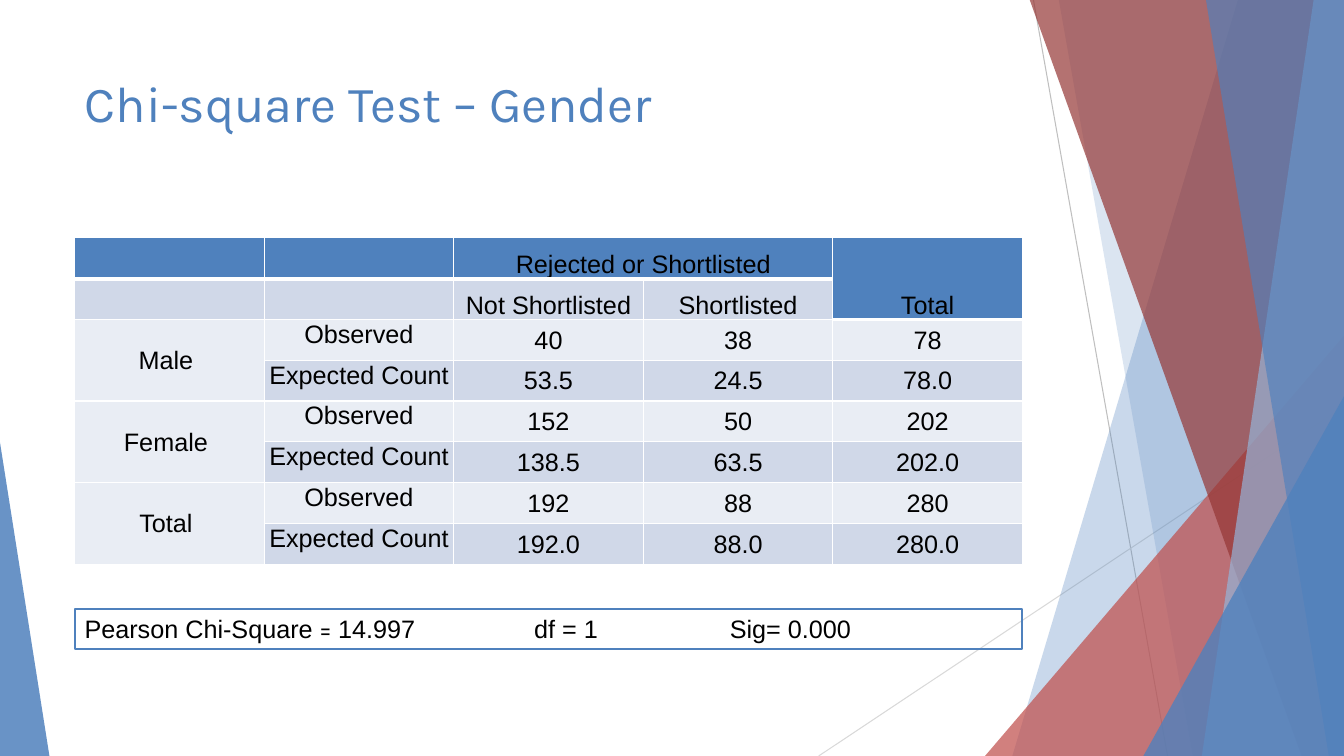
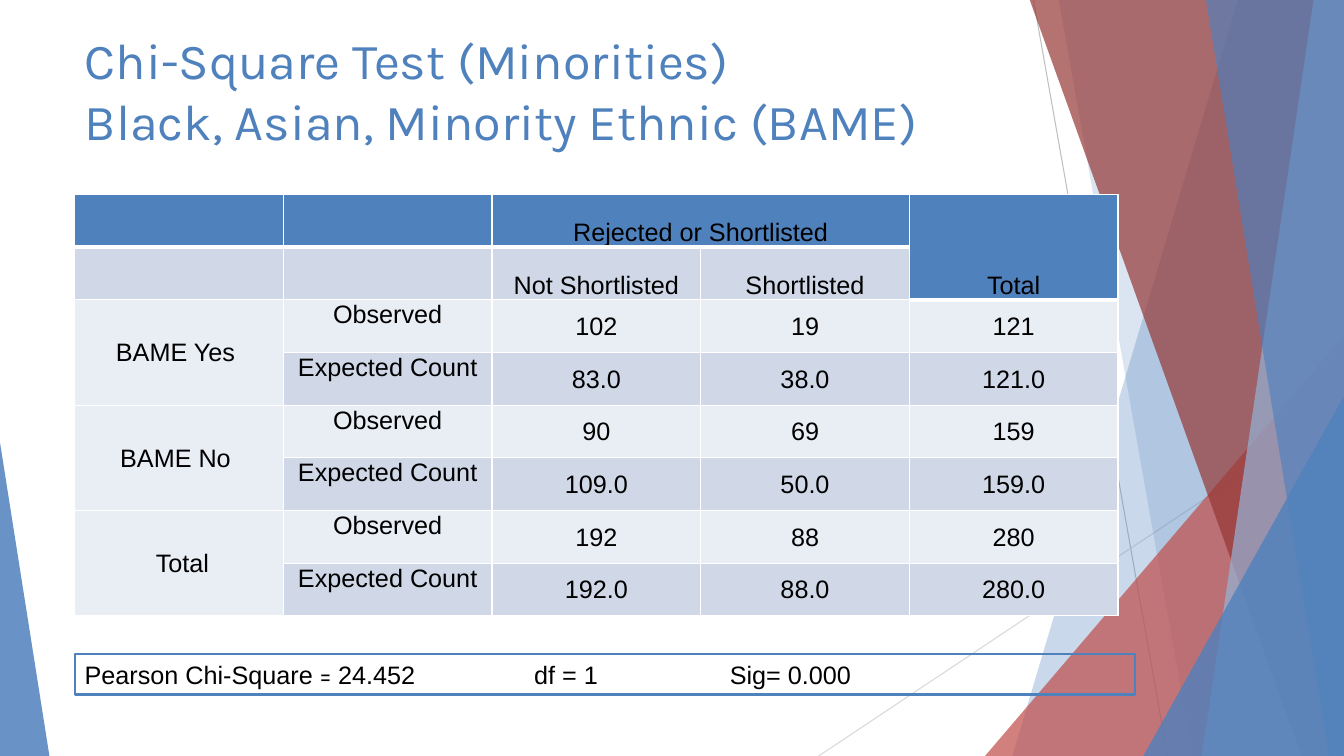
from dataclasses import dataclass

from lxml import etree
from pptx import Presentation
from pptx.dml.color import RGBColor
from pptx.enum.shapes import MSO_CONNECTOR, MSO_SHAPE
from pptx.enum.text import MSO_ANCHOR as ANCHOR, MSO_AUTO_SIZE as AUTOSIZE, PP_ALIGN as ALIGN
from pptx.oxml.ns import qn
from pptx.util import Inches, Pt

# Shared look
BLUE, PALE_BLUE, RED, DARK_RED = "4F81BD", "95B3D7", "C0504D", "953735"
BAND_DARK, BAND_LIGHT = "D0D8E8", "E9EDF4"
WHITE, BLACK = "FFFFFF", "000000"
HEAD_FONT, BODY_FONT = "Karla", "Arial"
SLIDE_W, SLIDE_H = 13.33, 7.5
LEFT, CONTENT_W = 0.74, 9.4


@dataclass
class Ray:
    start: tuple[float, float]
    end: tuple[float, float]
    color: str


@dataclass
class Facet:
    """Panel at the right edge with a slanted left side."""
    top_x: float
    bottom_x: float
    color: str
    alpha: int


@dataclass
class Corner:
    """Right triangle standing on the bottom edge."""
    left: float
    top: float
    width: float
    apex: float
    color: str
    alpha: int


@dataclass
class Group:
    label: str
    observed: list[int]
    expected: list[float]


@dataclass
class ChiTest:
    title: str
    title_top: float
    table_top: float
    table_w: float
    table_h: float
    groups: list[Group]
    total_label: str
    statistic: str
    result_top: float
    result_w: float


RAYS = [
    Ray((10.25, 0), (11.58, SLIDE_H), "BFBFBF"),
    Ray((SLIDE_W, 4.03), (8.12, SLIDE_H), "D9D9D9"),
]
PANELS = [
    Facet(12.28, 10.04, BLUE, 30),
    Facet(10.5, 11.83, BLUE, 20),
    Corner(9.77, 3.33, 3.56, 1, RED, 72),
    Facet(10.21, 12.91, DARK_RED, 70),
    Facet(13.03, 11.92, PALE_BLUE, 70),
    Facet(11.96, 13.18, BLUE, 65),
    Corner(11.34, 3.93, 1.99, 1, BLUE, 80),
    Corner(0, 4.39, 0.49, 0, BLUE, 85),
]
TESTS = [
    ChiTest("Chi-square Test – Gender", 0.67, 2.36, CONTENT_W, 3.24,
            [Group("Male\u00a0", [40, 38], [53.5, 24.5]),
             Group("Female\u00a0", [152, 50], [138.5, 63.5])],
            "Total\u00a0", "14.997", 6.04, CONTENT_W),
    ChiTest("Chi-Square Test (Minorities)\vBlack, Asian, Minority Ethnic (BAME)",
            0.24, 1.93, 10.35, 4.18,
            [Group("BAME Yes\u00a0", [102, 19], [83.0, 38.0]),
             Group("BAME No\u00a0", [90, 69], [109.0, 50.0])],
            "\u00a0Total", "24.452", 6.49, 10.52),
]


# Helpers
def rgb(color: str) -> RGBColor:
    return RGBColor.from_string(color)


def format_run(r, font: str = BODY_FONT, size: float = 18, color: str = BLACK) -> None:
    r.font.name, r.font.size, r.font.color.rgb = font, Pt(size), rgb(color)


def add_text(p, text: str, **fmt) -> None:
    r = p.add_run()
    r.text = text
    format_run(r, **fmt)


def fill_panel(shape, color: str, alpha: int) -> None:
    shape.shadow.inherit = False
    shape.fill.solid()
    shape.fill.fore_color.rgb = rgb(color)
    for clr in shape.element.spPr.iter(qn("a:srgbClr")):
        etree.SubElement(clr, qn("a:alpha"), val=str(alpha * 1000))
    shape.line.fill.background()


# Backdrop
def add_ray(s, ray: Ray) -> None:
    ends = [Inches(v) for v in (*ray.start, *ray.end)]
    line = s.shapes.add_connector(MSO_CONNECTOR.STRAIGHT, *ends)
    line.line.color.rgb, line.line.width = rgb(ray.color), Pt(0.75)
    etree.SubElement(line.element.spPr, qn("a:effectLst"))


def add_facet(s, f: Facet) -> None:
    top = -0.01
    corners = [(f.top_x, top), (SLIDE_W, top), (SLIDE_W, SLIDE_H), (f.bottom_x, SLIDE_H)]
    points = [(Inches(x), Inches(y)) for x, y in corners]
    builder = s.shapes.build_freeform(*points[0])
    builder.add_line_segments(points[1:], close=True)
    fill_panel(builder.convert_to_shape(), f.color, f.alpha)


def add_corner(s, c: Corner) -> None:
    sp = s.shapes.add_shape(MSO_SHAPE.ISOSCELES_TRIANGLE, Inches(c.left), Inches(c.top),
                            Inches(c.width), Inches(SLIDE_H - c.top))
    sp.adjustments[0] = c.apex
    fill_panel(sp, c.color, c.alpha)


def add_backdrop(s) -> None:
    for ray in RAYS:
        add_ray(s, ray)
    for panel in PANELS:
        draw = add_facet if isinstance(panel, Facet) else add_corner
        draw(s, panel)


# Title
def set_title(s, text: str, top: float) -> None:
    title = s.shapes.title
    title.left, title.top = Inches(LEFT), Inches(top)
    title.width, title.height = Inches(CONTENT_W), Inches(1.44)
    tf = title.text_frame
    tf.text = text
    tf.word_wrap, tf.auto_size, tf.vertical_anchor = True, AUTOSIZE.NONE, ANCHOR.TOP
    p = tf.paragraphs[0]
    p.alignment = ALIGN.LEFT
    p.font.name, p.font.size, p.font.color.rgb = HEAD_FONT, Pt(36), rgb(BLUE)
    for r in p.runs:
        format_run(r, font=HEAD_FONT, size=36, color=BLUE)


# Table
def table_rows(test: ChiTest) -> list[list[str]]:
    total = Group(test.total_label,
                  [sum(v) for v in zip(*(g.observed for g in test.groups))],
                  [sum(v) for v in zip(*(g.expected for g in test.groups))])
    rows = [["", "", "Rejected or Shortlisted", "", "Total"],
            ["", "", "Not Shortlisted", "Shortlisted", ""]]
    for g in [*test.groups, total]:
        rows.append([g.label, "Observed", *(str(v) for v in (*g.observed, sum(g.observed)))])
        rows.append(["", "Expected Count",
                     *(f"{v:.1f}" for v in (*g.expected, sum(g.expected)))])
    return rows


def is_header(row: int, col: int) -> bool:
    return row == 0 or (row == 1 and col == 4)


def cell_fill(row: int, col: int) -> str:
    if is_header(row, col):
        return BLUE
    return BAND_LIGHT if row > 1 and (row % 2 == 0 or col == 0) else BAND_DARK


def set_borders(cell, top: float, bottom: float) -> None:
    tc_pr = cell._tc.get_or_add_tcPr()
    for i, (side, width) in enumerate([("L", 1), ("R", 1), ("T", top), ("B", bottom)]):
        ln = etree.Element(qn(f"a:ln{side}"), w=str(Pt(width)))
        solid = etree.SubElement(ln, qn("a:solidFill"))
        etree.SubElement(solid, qn("a:srgbClr"), val=WHITE)
        tc_pr.insert(i, ln)


def format_cell(cell, row: int, col: int, text: str) -> None:
    cell.margin_left = cell.margin_right = cell.margin_top = Inches(0.01)
    cell.margin_bottom = 0
    if row < 2:
        cell.vertical_anchor = ANCHOR.BOTTOM
    else:
        cell.vertical_anchor = ANCHOR.TOP if col == 1 else ANCHOR.MIDDLE
    cell.fill.solid()
    cell.fill.fore_color.rgb = rgb(cell_fill(row, col))
    header = is_header(row, col)
    below_header = row > 0 and not header and is_header(row - 1, col)
    set_borders(cell, top=3 if below_header else 1, bottom=3 if header else 1)
    p = cell.text_frame.paragraphs[0]
    p.alignment = ALIGN.CENTER
    if text:
        add_text(p, text)


def add_counts(s, test: ChiTest) -> None:
    rows = table_rows(test)
    n_rows, n_cols = len(rows), len(rows[0])
    table = s.shapes.add_table(n_rows, n_cols, Inches(LEFT), Inches(test.table_top),
                               Inches(test.table_w), Inches(test.table_h)).table
    table.first_row = table.horz_banding = False
    for r, row in enumerate(rows):
        for c, text in enumerate(row):
            format_cell(table.cell(r, c), r, c, text)
    table.cell(0, 2).merge(table.cell(0, 3))
    table.cell(0, 4).merge(table.cell(1, 4))
    for r in range(2, n_rows, 2):
        table.cell(r, 0).merge(table.cell(r + 1, 0))


# Result line
def add_result(s, test: ChiTest) -> None:
    sp = s.shapes.add_shape(MSO_SHAPE.RECTANGLE, Inches(LEFT), Inches(test.result_top),
                            Inches(test.result_w), Inches(0.4))
    sp.shadow.inherit = False
    sp.fill.background()
    sp.line.color.rgb, sp.line.width = rgb(BLUE), Pt(1.5)
    tf = sp.text_frame
    tf.word_wrap, tf.auto_size = True, AUTOSIZE.SHAPE_TO_FIT_TEXT
    tf.vertical_anchor = ANCHOR.TOP
    p = tf.paragraphs[0]
    p.alignment = ALIGN.LEFT
    tabs = etree.SubElement(p._p.get_or_add_pPr(), qn("a:tabLst"))
    for pos in (4.46, 6.4):
        etree.SubElement(tabs, qn("a:tab"), pos=str(Inches(pos)), algn="l")
    add_text(p, "Pearson Chi-Square")
    add_text(p, " = ", font=HEAD_FONT)
    add_text(p, f"{test.statistic}\tdf = 1\tSig= 0.000")


# Slides
prs = Presentation()
prs.slide_width, prs.slide_height = Inches(SLIDE_W), Inches(SLIDE_H)
title_only = prs.slide_layouts[5]
for test in TESTS:
    s = prs.slides.add_slide(title_only)
    add_backdrop(s)
    set_title(s, test.title, test.title_top)
    add_counts(s, test)
    add_result(s, test)
prs.save("out.pptx")
